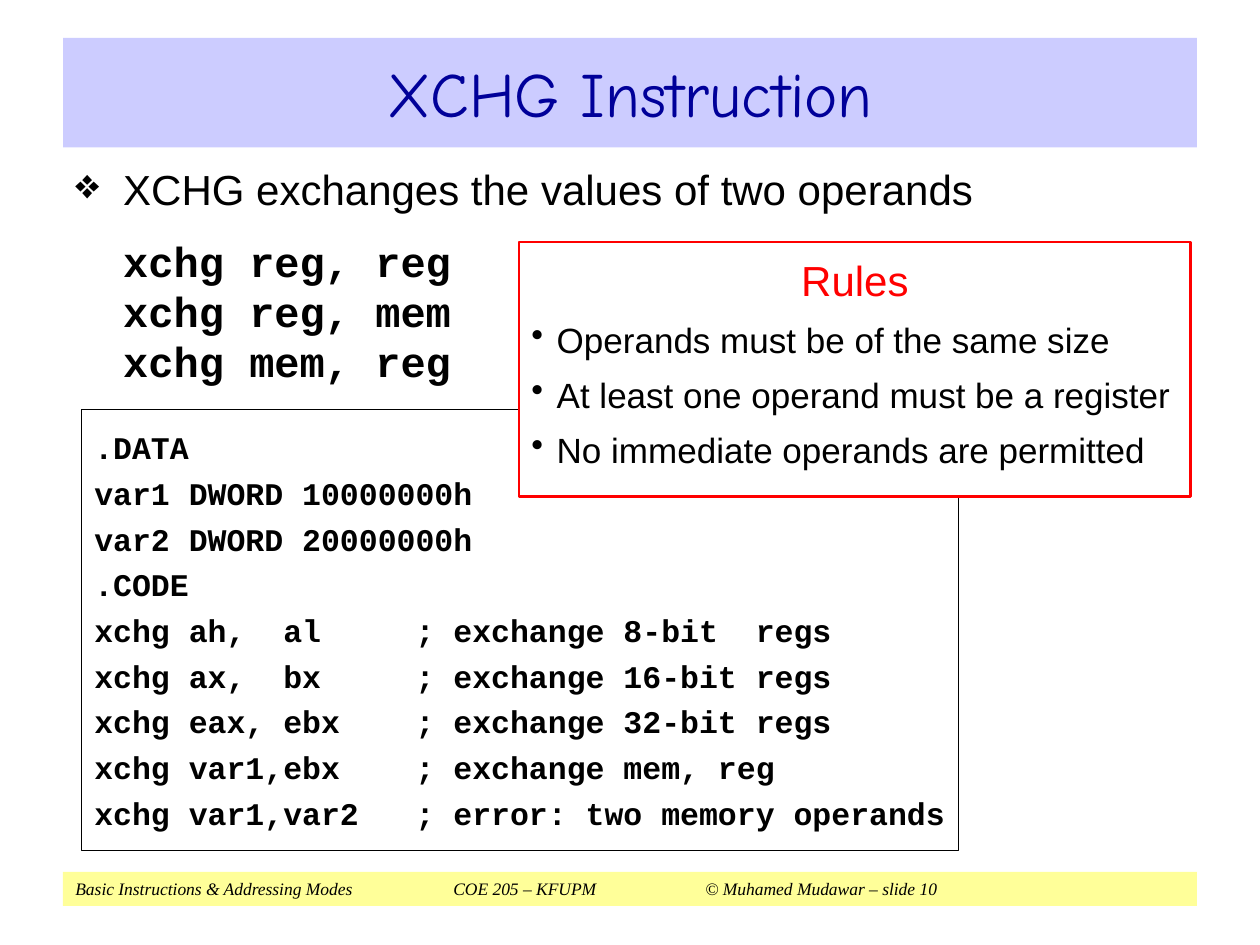
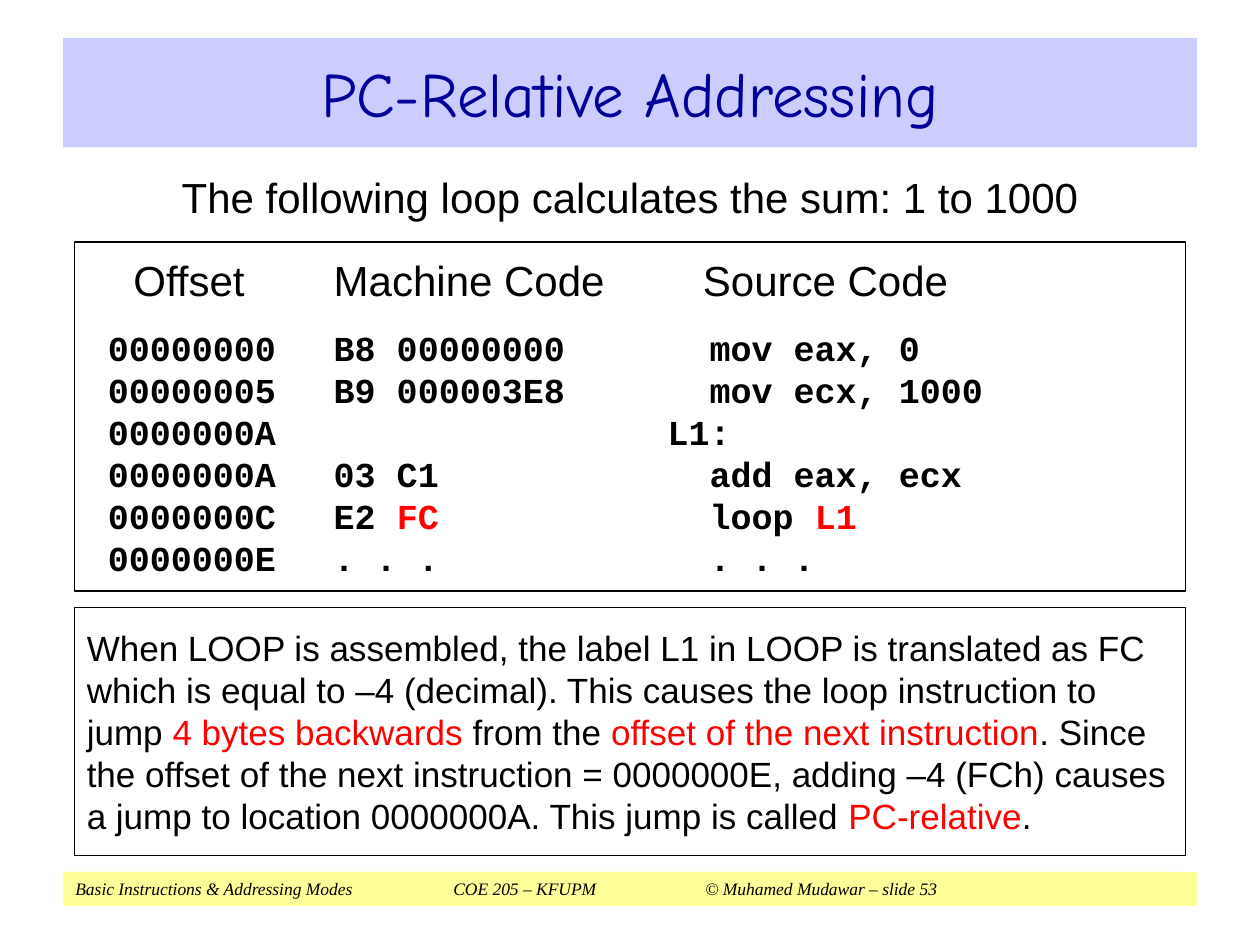
from dataclasses import dataclass, replace
from typing import Optional

from lxml import etree
from pptx import Presentation
from pptx.dml.color import RGBColor
from pptx.enum.shapes import MSO_SHAPE
from pptx.enum.text import MSO_ANCHOR, MSO_AUTO_SIZE, PP_ALIGN
from pptx.oxml.ns import qn
from pptx.util import Emu, Pt

RECTANGLE = MSO_SHAPE.RECTANGLE
LEFT, CENTER = PP_ALIGN.LEFT, PP_ALIGN.CENTER
TOP, MIDDLE = MSO_ANCHOR.TOP, MSO_ANCHOR.MIDDLE
NO_AUTOFIT = MSO_AUTO_SIZE.NONE

EMU_PER_PX = 9144  # 100 px to the inch
LINE_HEIGHT = 1.2
TITLE_ONLY = 5
COLORS = {
    "black": "000000",
    "white": "FFFFFF",
    "red": "FF0000",
    "title": "000099",
    "title_band": "CCCCFF",
    "footer_band": "FFFF99",
}


@dataclass(frozen=True)
class Style:
    font: str
    size: int
    color: str = "black"
    bold: bool = False
    italic: bool = False
    align: PP_ALIGN = LEFT
    space_before: float = 0
    indent: int = 0
    bullet: str = ""
    tabs: tuple[int, ...] = ()


@dataclass(frozen=True)
class Line:
    """One paragraph; red parts of the text stand between asterisks."""
    text: str
    style: Style


@dataclass(frozen=True)
class Box:
    left: int
    top: int
    width: int
    height: int
    fill: Optional[str] = None
    outline: Optional[str] = None
    outline_width: float = 0.75
    insets: tuple[int, int] = (5, 5)  # top, bottom
    anchor: MSO_ANCHOR = TOP


# Shared styles and bands
TITLE = Style("Comic Neue", 36, "title", align=CENTER)
TITLE_BAND = Box(50, 30, 900, 87, fill="title_band", anchor=MIDDLE)
FOOTER = Style("Times New Roman", 10, italic=True, tabs=(300, 500))
FOOTER_BAND = Box(50, 692, 900, 27, fill="footer_band")
HEADING = Style("Arial", 24)
BODY = Style("Arial", 20)
CODE = Style("Courier New", 20, bold=True)


def px(length: int) -> Emu:
    return Emu(length * EMU_PER_PX)


def rgb(name: str) -> RGBColor:
    return RGBColor.from_string(COLORS[name])


def add_bullet_and_tabs(paragraph, style: Style) -> None:
    properties = paragraph._p.get_or_add_pPr()
    if style.indent:
        properties.set("marL", str(px(style.indent)))
        properties.set("indent", str(-px(style.indent) if style.bullet else 0))
    if style.bullet:
        bullet_color = etree.SubElement(properties, qn("a:buClr"))
        etree.SubElement(bullet_color, qn("a:srgbClr"), val=COLORS["black"])
        etree.SubElement(properties, qn("a:buChar"), char=style.bullet)
    else:
        etree.SubElement(properties, qn("a:buNone"))
    if style.tabs:
        tab_list = etree.SubElement(properties, qn("a:tabLst"))
        for position in style.tabs:
            etree.SubElement(tab_list, qn("a:tab"), pos=str(px(position)), algn="l")


def write_paragraph(paragraph, line: Line, first: bool) -> None:
    style = line.style
    add_bullet_and_tabs(paragraph, style)
    paragraph.alignment = style.align
    paragraph.line_spacing = Pt(style.size * LINE_HEIGHT)
    paragraph.space_before = Pt(0 if first else style.space_before)
    font = paragraph.font
    font.name, font.size = style.font, Pt(style.size)
    font.bold, font.italic = style.bold, style.italic
    font.color.rgb = rgb(style.color)
    for number, text in enumerate(line.text.split("*")):
        if text:
            run = paragraph.add_run()
            run.text = text
            if number % 2:
                run.font.color.rgb = rgb("red")


def fill_box(shape, box: Box, lines: list[Line]) -> None:
    if box.fill:
        shape.fill.solid()
        shape.fill.fore_color.rgb = rgb(box.fill)
    else:
        shape.fill.background()
    if box.outline:
        shape.line.color.rgb = rgb(box.outline)
        shape.line.width = Pt(box.outline_width)
    else:
        shape.line.fill.background()
    frame = shape.text_frame
    frame.word_wrap = True
    frame.auto_size = NO_AUTOFIT
    frame.vertical_anchor = box.anchor
    frame.margin_left = frame.margin_right = px(10)
    frame.margin_top, frame.margin_bottom = map(px, box.insets)
    for number, line in enumerate(lines):
        paragraph = frame.add_paragraph() if number else frame.paragraphs[0]
        write_paragraph(paragraph, line, first=number == 0)


def add_box(slide, box: Box, lines: list[Line]) -> None:
    place = map(px, (box.left, box.top, box.width, box.height))
    if box.fill or box.outline:
        shape = slide.shapes.add_shape(RECTANGLE, *place)
        shape.shadow.inherit = False
    else:
        shape = slide.shapes.add_textbox(*place)
    fill_box(shape, box, lines)


def add_slide(presentation, title: str, number: int):
    slide = presentation.slides.add_slide(presentation.slide_layouts[TITLE_ONLY])
    band = slide.shapes.title
    band.left, band.top = px(TITLE_BAND.left), px(TITLE_BAND.top)
    band.width, band.height = px(TITLE_BAND.width), px(TITLE_BAND.height)
    fill_box(band, TITLE_BAND, [Line(title, TITLE)])
    footer = ("Basic Instructions & Addressing Modes\tCOE 205 – KFUPM\t"
              f"© Muhamed Mudawar – slide {number}")
    add_box(slide, FOOTER_BAND, [Line(footer, FOOTER)])
    return slide


def build_exchange_slide(presentation) -> None:
    slide = add_slide(presentation, "XCHG Instruction", 10)

    # Instruction forms
    form = replace(CODE, size=24, indent=38)
    add_box(slide, Box(50, 125, 900, 231), [
        Line("XCHG exchanges the values of two operands",
             replace(HEADING, indent=38, bullet="❖")),
        Line("xchg reg, reg", replace(form, space_before=12)),
        Line("xchg reg, mem", form),
        Line("xchg mem, reg", form),
    ])

    # Example program
    program = replace(CODE, size=18, space_before=4.5, tabs=(255,))
    program_lines = (
        ".DATA",
        "var1 DWORD 10000000h",
        "var2 DWORD 20000000h",
        ".CODE",
        "xchg ah,  al\t; exchange 8-bit  regs",
        "xchg ax,  bx\t; exchange 16-bit regs",
        "xchg eax, ebx\t; exchange 32-bit regs",
        "xchg var1,ebx\t; exchange mem, reg",
        "xchg var1,var2\t; error: two memory operands",
    )
    add_box(slide, Box(65, 325, 696, 350, outline="black", insets=(15, 0)),
            [Line(text, program) for text in program_lines])

    # Rules
    rule = replace(BODY, space_before=7.5, indent=20, bullet="•")
    rules = (
        "Operands must be of the same size",
        "At least one operand must be a register",
        "No immediate operands are permitted",
    )
    rules_box = Box(412, 192, 533, 202, fill="white", outline="red",
                    outline_width=1.5, insets=(10, 0))
    add_box(slide, rules_box,
            [Line("Rules", replace(HEADING, color="red", align=CENTER))]
            + [Line(text, rule) for text in rules])


def build_relative_slide(presentation) -> None:
    slide = add_slide(presentation, "PC-Relative Addressing", 53)
    add_box(slide, Box(53, 121, 894, 70, insets=(15, 15)),
            [Line("The following loop calculates the sum: 1 to 1000",
                  replace(HEADING, align=CENTER))])

    # Explanation
    explanation = (
        "When LOOP is assembled, the label L1 in LOOP is translated as FC "
        "which is equal to –4 (decimal). This causes the loop instruction to "
        "jump *4 bytes backwards* from the *offset of the next instruction*. "
        "Since the offset of the next instruction = 0000000E, adding –4 (FCh) "
        "causes a jump to location 0000000A. This jump is called *PC-relative*."
    )
    add_box(slide, Box(59, 482, 882, 197, outline="black", insets=(15, 15)),
            [Line(explanation, BODY)])

    # Assembly listing
    listing = replace(CODE, tabs=(196, 461))
    first_row, *other_rows = (
        " 00000000\tB8 00000000\t  mov eax, 0",
        " 00000005\tB9 000003E8\t  mov ecx, 1000",
        " 0000000A\t\tL1:",
        " 0000000A\t03 C1\t  add eax, ecx",
        " 0000000C\tE2 *FC*\t  loop *L1*",
        " 0000000E\t. . .\t  . . .",
    )
    add_box(slide, Box(59, 192, 882, 277, outline="black", insets=(10, 10)), [
        Line("\tOffset\tMachine Code\tSource Code",
             replace(HEADING, tabs=(37, 196, 489))),
        Line(first_row, replace(listing, space_before=12.5)),
        *(Line(row, listing) for row in other_rows),
    ])


def main() -> None:
    presentation = Presentation()
    presentation.slide_width, presentation.slide_height = px(1000), px(750)
    build_exchange_slide(presentation)
    build_relative_slide(presentation)
    presentation.save("out.pptx")


if __name__ == "__main__":
    main()
